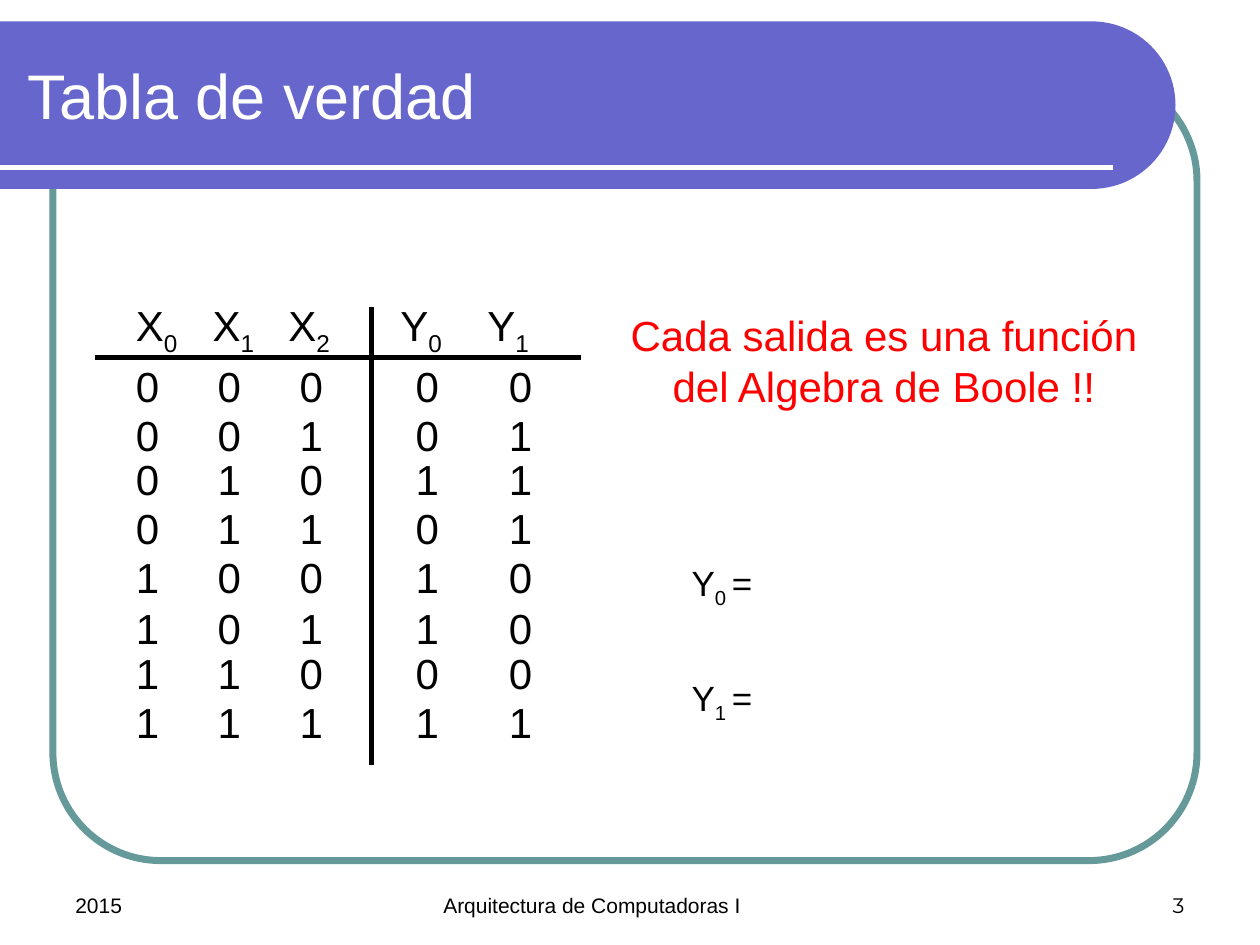
from dataclasses import dataclass
from itertools import product
from math import cos, pi, sin

from lxml import etree
from pptx import Presentation
from pptx.dml.color import RGBColor
from pptx.enum import shapes, text
from pptx.oxml import ns
from pptx.util import Inches, Pt


@dataclass(frozen=True)
class Theme:
    font: str = "Arial"
    number_font: str = "Montserrat"
    band: str = "6666CC"
    frame: str = "669999"
    light: str = "FFFFFF"
    ink: str = "000000"
    accent: str = "FF0000"
    title: int = 36
    body: int = 24
    formula: int = 20
    footer: int = 12
    rule: int = 3
    frame_rule: int = 4


class SlideBuilder:
    def __init__(self, slide, theme):
        self.s = slide
        self.theme = theme

    def frame(self, left, top, width, height, radius):
        sp = self.s.shapes.add_shape(
            shapes.MSO_SHAPE.ROUNDED_RECTANGLE,
            Inches(left), Inches(top), Inches(width), Inches(height))
        sp.adjustments[0] = radius
        sp.shadow.inherit = False
        sp.fill.background()
        sp.line.color.rgb = RGBColor.from_string(self.theme.frame)
        sp.line.width = Pt(self.theme.frame_rule)

    def band(self, top, width, height, steps=48):
        radius = height / 2
        angles = [pi * i / steps - pi / 2 for i in range(steps + 1)]
        arc = [(Inches(width - radius + radius * cos(a)),
                Inches(top + radius + radius * sin(a))) for a in angles]
        outline = self.s.shapes.build_freeform(0, Inches(top), scale=1.0)
        outline.add_line_segments(arc + [(0, Inches(top + height))], close=True)
        sp = outline.convert_to_shape()
        sp.shadow.inherit = False
        sp.fill.solid()
        sp.fill.fore_color.rgb = RGBColor.from_string(self.theme.band)
        sp.line.fill.background()

    def line(self, x1, y1, x2, y2, color):
        sp = self.s.shapes.add_connector(
            shapes.MSO_CONNECTOR.STRAIGHT,
            Inches(x1), Inches(y1), Inches(x2), Inches(y2))
        sp.line.color.rgb = RGBColor.from_string(color)
        sp.line.width = Pt(self.theme.rule)
        etree.SubElement(sp._element.spPr, ns.qn("a:effectLst"))

    def runs(self, p, parts, size, color, font=None):
        for part, subscript in parts:
            r = p.add_run()
            r.text = part
            r.font.name = font or self.theme.font
            r.font.size = Pt(size)
            r.font.color.rgb = RGBColor.from_string(color)
            if subscript:
                r._r.get_or_add_rPr().set("baseline", "-25000")

    def title(self, words, left, top, width, height):
        sp = self.s.shapes.title
        self.s.shapes._spTree.append(sp._element)
        sp.left, sp.top = Inches(left), Inches(top)
        sp.width, sp.height = Inches(width), Inches(height)
        tf = sp.text_frame
        tf.auto_size = text.MSO_AUTO_SIZE.NONE
        tf.vertical_anchor = text.MSO_ANCHOR.MIDDLE
        p = tf.paragraphs[0]
        p.alignment = text.PP_ALIGN.LEFT
        self.runs(p, [(words, False)], self.theme.title, self.theme.light)

    def textbox(self, parts, left, top, width, height, size, color=None,
                font=None, align=text.PP_ALIGN.LEFT,
                anchor=text.MSO_ANCHOR.TOP, tabs=()):
        sp = self.s.shapes.add_textbox(
            Inches(left), Inches(top), Inches(width), Inches(height))
        tf = sp.text_frame
        tf.word_wrap = True
        tf.vertical_anchor = anchor
        p = tf.paragraphs[0]
        p.alignment = align
        if tabs:
            stops = etree.SubElement(p._p.get_or_add_pPr(), ns.qn("a:tabLst"))
            for stop in tabs:
                etree.SubElement(stops, ns.qn("a:tab"),
                                 pos=str(Inches(stop)), algn="l")
        self.runs(p, parts, size, color or self.theme.ink, font)

    def footer(self, words, left, width, align=text.PP_ALIGN.LEFT, font=None):
        self.textbox([(words, False)], left, 6.83, width, 0.5,
                     self.theme.footer, font=font, align=align,
                     anchor=text.MSO_ANCHOR.BOTTOM)

    def truth_table(self, left, header_top, row_tops, outputs):
        names = [("X", "0"), ("X", "1"), ("X", "2"), ("Y", "0"), ("Y", "1")]
        header = []
        for i, (letter, index) in enumerate(names):
            header += [("\t" * (i > 0) + letter, False), (index, True)]
        self.textbox(header, left, header_top, 3.7, 0.5, self.theme.body,
                     tabs=(0.61, 1.21, 2.1, 2.79))
        for top, bits, result in zip(row_tops, product("01", repeat=3), outputs):
            row = "\t".join([*bits, *result])
            self.textbox([(row, False)], left, top, 3.46, 0.5, self.theme.body,
                         tabs=(0.65, 1.3, 2.22, 2.96))


def main():
    prs = Presentation()
    prs.slide_width, prs.slide_height = Inches(10), Inches(7.5)
    theme = Theme()
    slide = SlideBuilder(prs.slides.add_slide(prs.slide_layouts[5]), theme)

    slide.frame(0.42, 0.58, 9.08, 6.25, 0.137)
    slide.band(0.17, 9.33, 1.33)
    slide.line(0, 1.33, 8.83, 1.33, theme.light)
    slide.title("Tabla de verdad", 0.12, 0.25, 6.93, 1)

    slide.footer("3", 7.17, 2.33, text.PP_ALIGN.RIGHT, theme.number_font)
    slide.footer("Arquitectura de Computadoras I", 3.42, 3.17)
    slide.footer("2015", 0.5, 2.33)

    slide.line(0.75, 2.84, 4.61, 2.84, theme.ink)
    slide.line(2.95, 2.44, 2.95, 6.07, theme.ink)
    slide.truth_table(
        0.98, 2.33,
        row_tops=(2.81, 3.2, 3.55, 3.94, 4.33, 4.73, 5.09, 5.48),
        outputs=("00", "01", "11", "01", "10", "10", "00", "11"))

    slide.textbox([("Cada salida es una función del Algebra de Boole !!", False)],
                  4.69, 2.41, 4.65, 0.91, theme.body, theme.accent,
                  align=text.PP_ALIGN.CENTER)
    for index, top in (("0 ", 4.41), ("1 ", 5.32)):
        slide.textbox([("Y", False), (index, True), ("=", False)],
                      5.39, top, 0.79, 0.44, theme.formula)

    prs.save("out.pptx")


if __name__ == "__main__":
    main()
